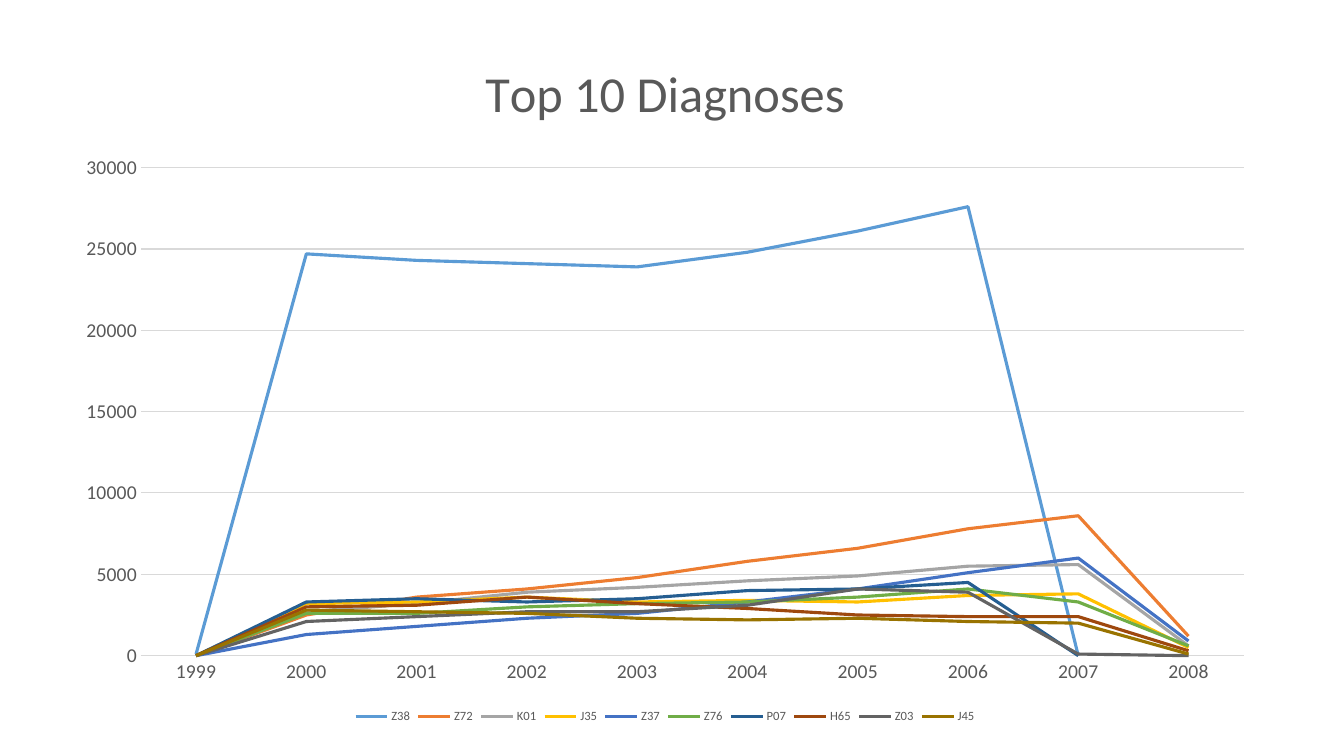
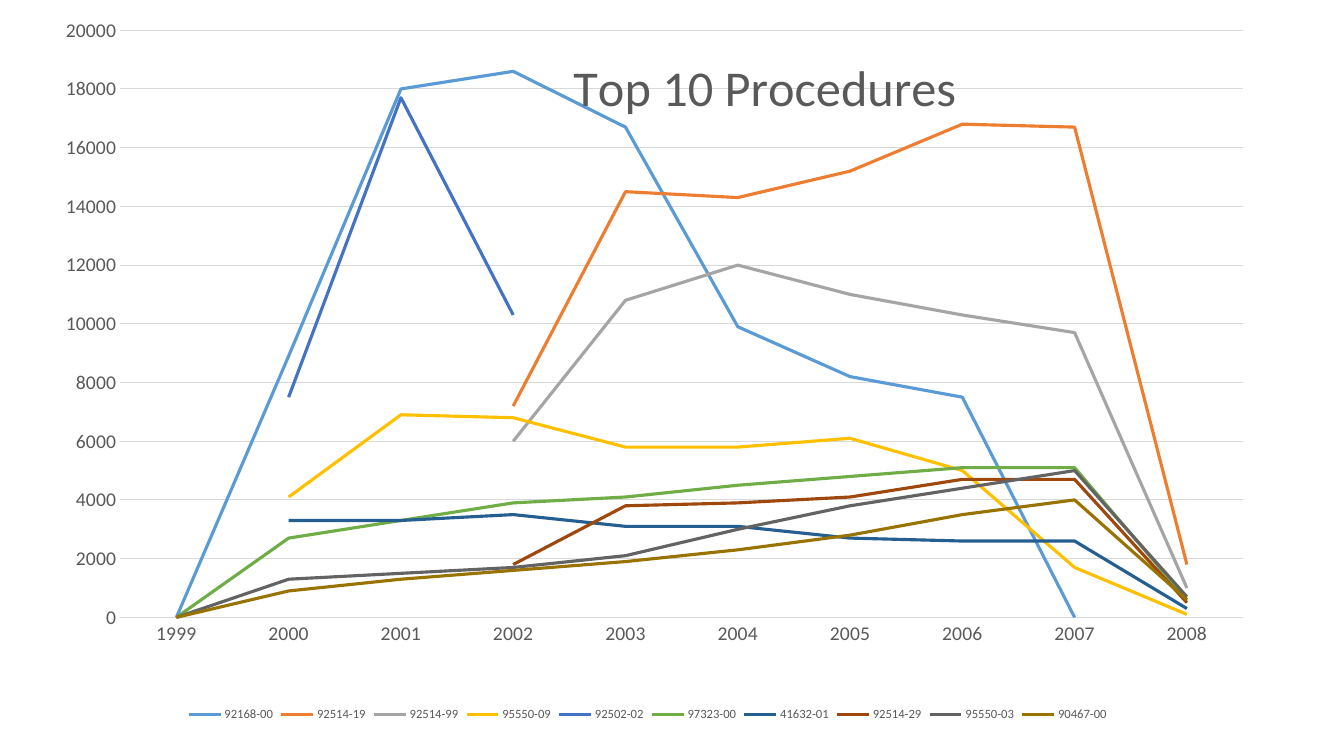
from dataclasses import dataclass

from lxml import etree
from pptx import Presentation
from pptx.chart.data import CategoryChartData
from pptx.dml.color import RGBColor
from pptx.enum.chart import XL_CHART_TYPE, XL_LEGEND_POSITION, XL_TICK_MARK
from pptx.oxml.ns import qn
from pptx.util import Cm, Pt

LINE_CHART = XL_CHART_TYPE.LINE
LEGEND_BOTTOM = XL_LEGEND_POSITION.BOTTOM
NO_TICK = XL_TICK_MARK.NONE


@dataclass(frozen=True)
class Theme:
    font: str = "Calibri"
    text: str = "595959"
    grid: str = "D9D9D9"
    series: tuple = ("5B9BD5", "ED7D31", "A5A5A5", "FFC000", "4472C4",
                     "70AD47", "255E91", "9E480E", "636363", "997300")
    title_size: int = 36
    axis_size: int = 14
    legend_size: int = 9
    hairline: float = 0.75
    series_line: float = 2.25


THEME = Theme()
YEARS = [str(year) for year in range(1999, 2009)]

DIAGNOSES = {
    "Z38": (100, 24700, 24300, 24100, 23900, 24800, 26100, 27600, 0, None),
    "Z72": (0, 2500, 3600, 4100, 4800, 5800, 6600, 7800, 8600, 1200),
    "K01": (0, 2700, 3200, 3900, 4200, 4600, 4900, 5500, 5600, 600),
    "J35": (0, 3200, 3300, 3600, 3300, 3400, 3300, 3700, 3800, 500),
    "Z37": (0, 1300, 1800, 2300, 2600, 3300, 4100, 5100, 6000, 900),
    "Z76": (0, 2600, 2600, 3000, 3200, 3300, 3600, 4100, 3300, 600),
    "P07": (0, 3300, 3500, 3300, 3500, 4000, 4100, 4500, 0, None),
    "H65": (0, 3000, 3100, 3600, 3200, 2900, 2500, 2400, 2400, 300),
    "Z03": (0, 2100, 2400, 2700, 2700, 3100, 4100, 3900, 100, 0),
    "J45": (0, 2800, 2700, 2600, 2300, 2200, 2300, 2100, 2000, 100),
}
PROCEDURES = {
    "92168-00": (0, 8900, 18000, 18600, 16700, 9900, 8200, 7500, 0, None),
    "92514-19": (None, None, None, 7200, 14500, 14300, 15200, 16800, 16700, 1800),
    "92514-99": (None, None, None, 6000, 10800, 12000, 11000, 10300, 9700, 1000),
    "95550-09": (None, 4100, 6900, 6800, 5800, 5800, 6100, 5000, 1700, 100),
    "92502-02": (None, 7500, 17700, 10300, None, None, None, None, None, None),
    "97323-00": (0, 2700, 3300, 3900, 4100, 4500, 4800, 5100, 5100, 600),
    "41632-01": (None, 3300, 3300, 3500, 3100, 3100, 2700, 2600, 2600, 300),
    "92514-29": (None, None, None, 1800, 3800, 3900, 4100, 4700, 4700, 500),
    "95550-03": (0, 1300, 1500, 1700, 2100, 3000, 3800, 4400, 5000, 700),
    "90467-00": (0, 900, 1300, 1600, 1900, 2300, 2800, 3500, 4000, 600),
}


def style_font(font, size, color=THEME.text, bold=False):
    font.name = THEME.font
    font.size = Pt(size)
    font.bold = bold
    font.color.rgb = RGBColor.from_string(color)


def write_text(frame, text, **style):
    frame.text = text
    style_font(frame.paragraphs[0].runs[0].font, **style)


def style_line(line, color, width):
    line.color.rgb = RGBColor.from_string(color)
    line.width = Pt(width)


def fix_layout(element, **parts):
    layout = element.find(qn("c:layout"))
    if layout is None:
        layout = etree.Element(qn("c:layout"))
        element.insert(0, layout)
    manual = etree.SubElement(layout, qn("c:manualLayout"))
    for tag, value in parts.items():
        etree.SubElement(manual, qn(f"c:{tag}")).set("val", str(value))


def style_axes(chart):
    years, counts = chart.category_axis, chart.value_axis
    for axis in (years, counts):
        axis.major_tick_mark = axis.minor_tick_mark = NO_TICK
        style_font(axis.tick_labels.font, THEME.axis_size)
    years.has_major_gridlines = False
    style_line(years.format.line, THEME.grid, THEME.hairline)
    counts.format.line.fill.background()
    counts.has_major_gridlines = True
    style_line(counts.major_gridlines.format.line, THEME.grid, THEME.hairline)


def trend_slide(deck, title, records, box):
    slide = deck.slides.add_slide(deck.slide_layouts[6])
    data = CategoryChartData()
    data.categories = YEARS
    for code, counts in records.items():
        data.add_series(code, counts)
    chart = slide.shapes.add_chart(LINE_CHART, *map(Cm, box), data).chart
    chart.font.name = THEME.font
    chart.has_title = True
    write_text(chart.chart_title.text_frame, title, size=THEME.title_size)
    chart.has_legend = True
    chart.legend.position = LEGEND_BOTTOM
    chart.legend.include_in_layout = False
    style_font(chart.legend.font, THEME.legend_size)
    style_axes(chart)
    plot = chart.plots[0]
    plot.vary_by_categories = False
    for series, color in zip(plot.series, THEME.series):
        series.smooth = False
        style_line(series.format.line, color, THEME.series_line)
    return chart


def overlay_title(chart):
    heading = chart.chart_title._element
    heading.find(qn("c:overlay")).set("val", "1")
    fix_layout(heading, xMode="edge", yMode="edge", x=0.43, y=0.03)
    plot_area = chart._chartSpace.find(".//" + qn("c:plotArea"))
    fix_layout(plot_area, layoutTarget="inner", xMode="edge", yMode="edge",
               x=0.057, y=0.011, w=0.943, h=0.835)


deck = Presentation()
deck.slide_width, deck.slide_height = Cm(33.87), Cm(19.05)
trend_slide(deck, "Top 10 Diagnoses", DIAGNOSES, (1.57, 0.76, 30.38, 17.58))
overlay_title(trend_slide(deck, "Top 10 Procedures", PROCEDURES,
                          (1.32, 0.46, 30.02, 17.83)))
deck.save("out.pptx")
